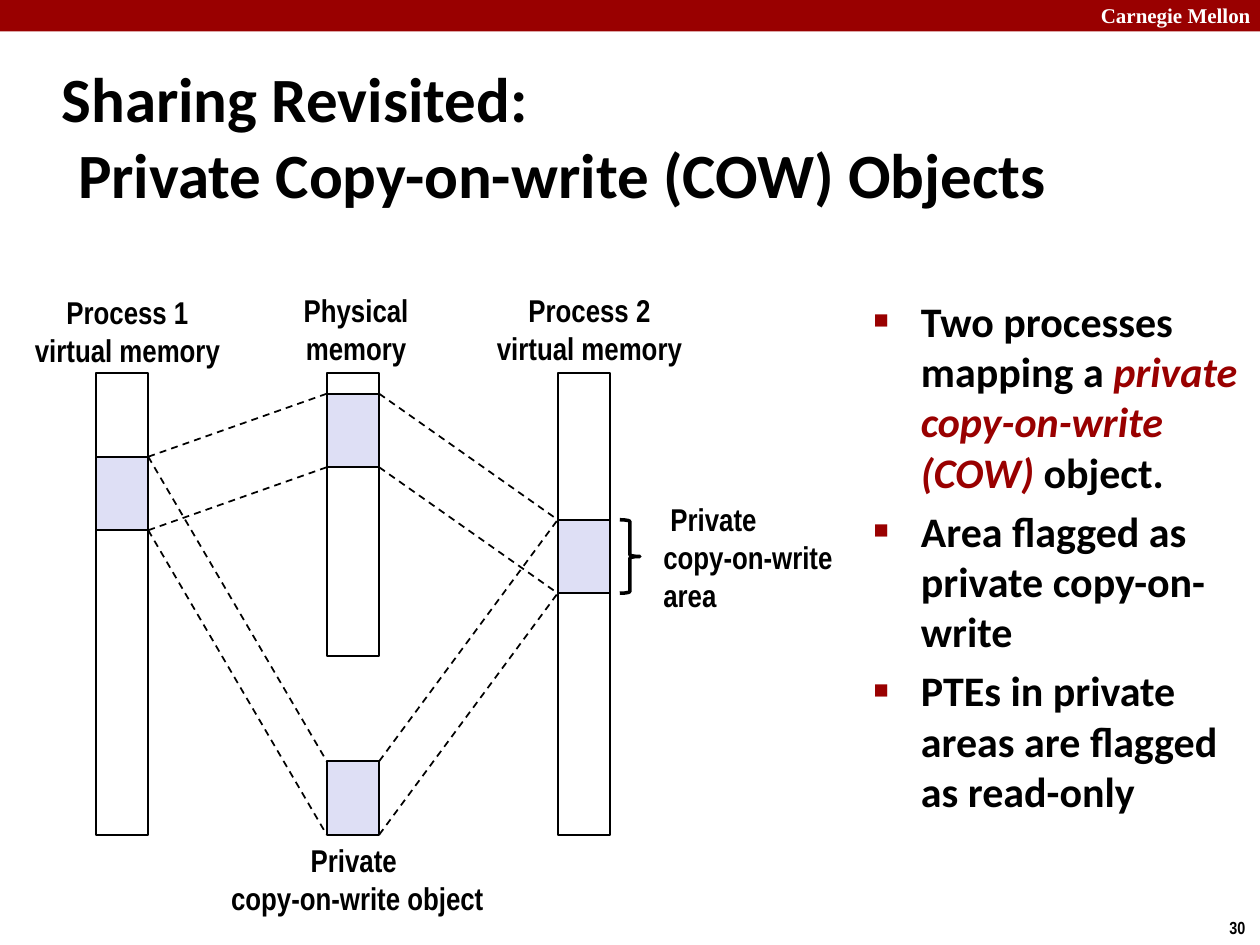
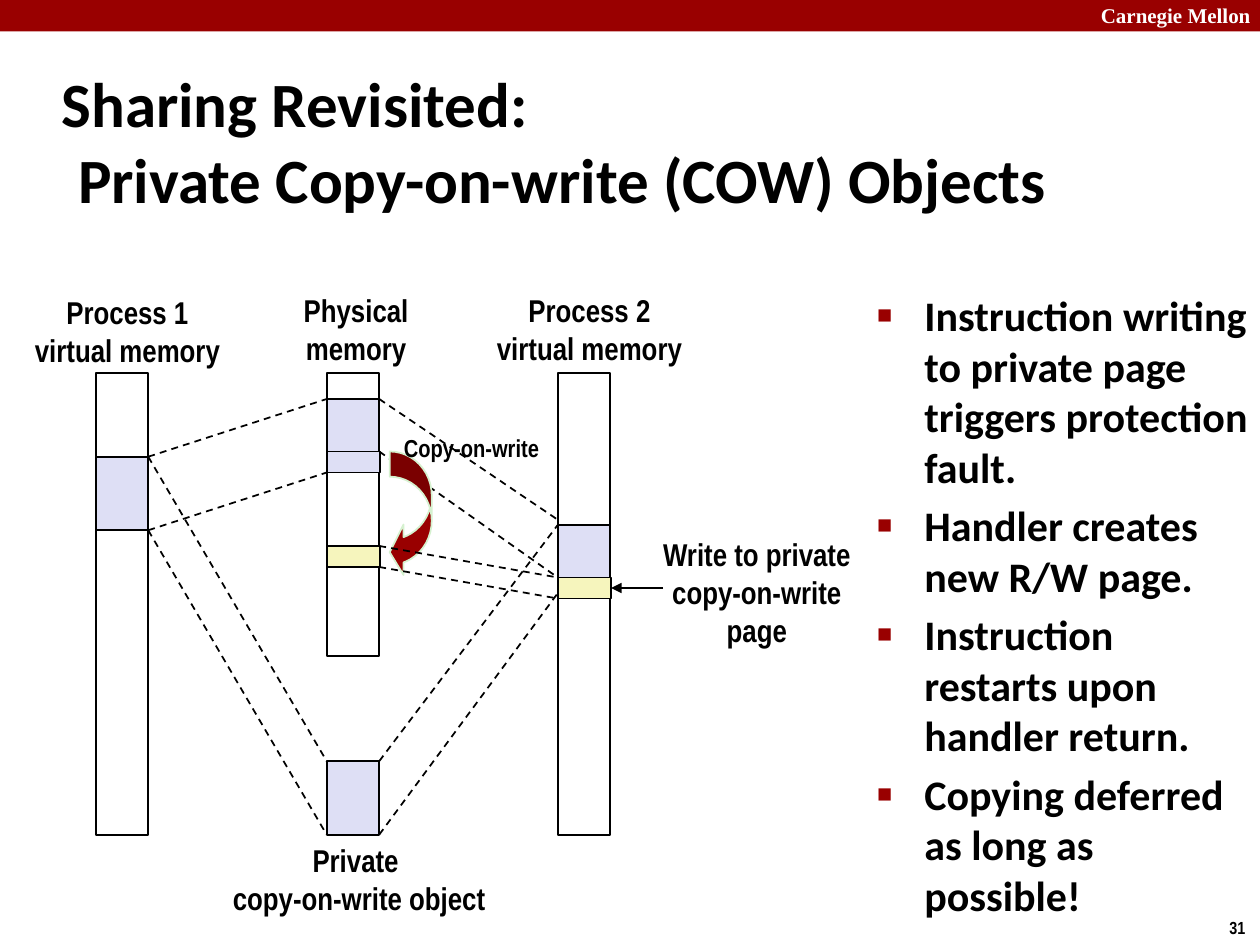
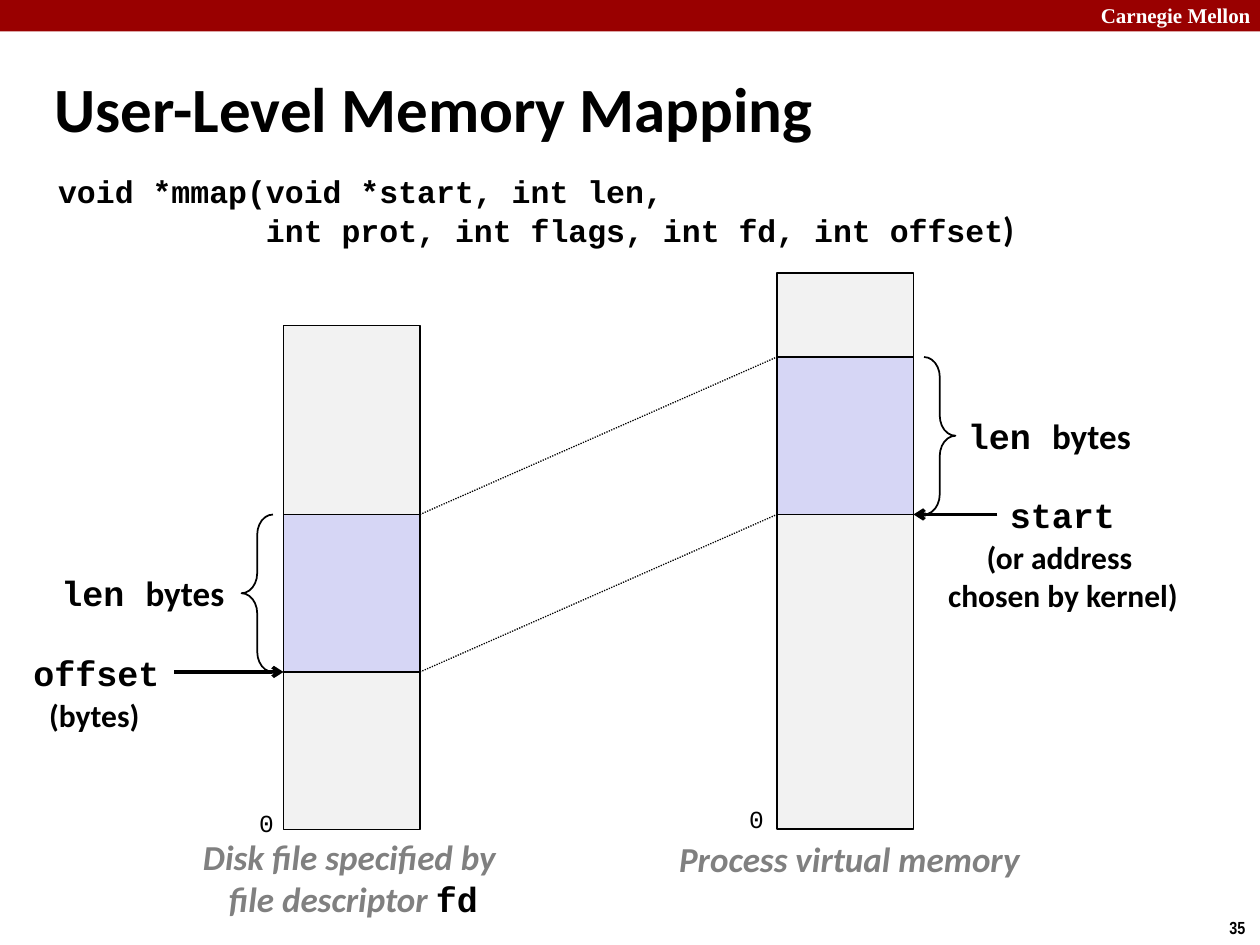
"""Build three slides on copy-on-write sharing and user-level memory mapping."""
from dataclasses import dataclass

from lxml import etree
from pptx import Presentation
from pptx.dml.color import RGBColor
from pptx.enum.dml import MSO_LINE
from pptx.enum.shapes import MSO_CONNECTOR, MSO_SHAPE
from pptx.enum.text import MSO_ANCHOR, MSO_AUTO_SIZE, PP_ALIGN
from pptx.oxml.ns import qn
from pptx.util import Pt

RECT = MSO_SHAPE.RECTANGLE
LEFT_BRACE, RIGHT_BRACE = MSO_SHAPE.LEFT_BRACE, MSO_SHAPE.RIGHT_BRACE
CURVED_ARROW = MSO_SHAPE.CURVED_LEFT_ARROW
STRAIGHT = MSO_CONNECTOR.STRAIGHT
DASH, DOT = MSO_LINE.DASH, MSO_LINE.ROUND_DOT
LEFT, CENTER = PP_ALIGN.LEFT, PP_ALIGN.CENTER
TOP, MIDDLE = MSO_ANCHOR.TOP, MSO_ANCHOR.MIDDLE


@dataclass(frozen=True)
class Theme:
    red: str = "990000"
    black: str = "000000"
    white: str = "FFFFFF"
    gray: str = "808080"
    lavender: str = "DEDFF5"
    periwinkle: str = "D6D6F5"
    yellow: str = "F6F5BD"
    memory: str = "F2F2F2"
    mint: str = "D5F1CF"
    sans: str = "Calibri"
    narrow: str = "Arial Narrow"
    mono: str = "Courier New"
    serif: str = "Times New Roman"
    title: int = 36
    body: int = 24
    term: int = 20
    label: int = 18
    small: int = 14
    header: int = 12
    number: int = 10


T = Theme()
WIDTH, HEIGHT, BAND_H = 720, 540, 18
LINE_RATIO, INSETS = 1.21, 7.2
TITLE_HANG, BODY_HANG, BULLET_GAP = 9.4, 27, 4.8


def rgb(value):
    return RGBColor.from_string(value)


def span(top, height):
    return top, top + height


def add_bullet(pPr):
    clr = etree.SubElement(pPr, qn("a:buClr"))
    etree.SubElement(clr, qn("a:srgbClr"), val=T.red)
    etree.SubElement(pPr, qn("a:buSzPct"), val="60000")
    etree.SubElement(pPr, qn("a:buFont"), typeface="Arial")
    etree.SubElement(pPr, qn("a:buChar"), char="■")


def add_run(p, text, font=T.narrow, size=T.label, color=T.black, bold=True, italic=False):
    r = p.add_run()
    r.text = text
    f = r.font
    f.name, f.size, f.bold, f.italic = font, Pt(size), bold, italic
    f.color.rgb = rgb(color)


def write(tf, paras, align=LEFT, bullet=False, hang=0, before=0, spacing=None, **fmt):
    for i, para in enumerate(paras):
        p = tf.paragraphs[0] if i == 0 else tf.add_paragraph()
        p.alignment, p.line_spacing = align, spacing
        p.space_before = Pt(before if i else 0)
        if hang:
            pPr = p._p.get_or_add_pPr()
            pPr.set("marL", str(Pt(hang)))
            pPr.set("indent", str(-Pt(hang)))
            if bullet:
                add_bullet(pPr)
            else:
                etree.SubElement(pPr, qn("a:buNone"))
        runs = [(para, {})] if isinstance(para, str) else para
        for text, changes in runs:
            for j, part in enumerate(text.split("\n")):
                if j:
                    p.add_line_break()
                add_run(p, part, **{**fmt, **changes})


class Deck:
    def __init__(self):
        self.prs = Presentation()
        self.prs.slide_width, self.prs.slide_height = Pt(WIDTH), Pt(HEIGHT)
        self.s = None

    def slide(self, number):
        self.s = self.prs.slides.add_slide(self.prs.slide_layouts[1])
        self.shape(RECT, 0, 0, WIDTH, BAND_H, fill=T.red, line=None)
        self.text(622, -2, 103, ["Carnegie Mellon"],
                  font=T.serif, size=T.header, color=T.white)
        self.text(695.5, 520.5, 24.5, [str(number)], size=T.number)

    def placeholder(self, sp, box, paras, anchor, **fmt):
        sp.left, sp.top, sp.width, sp.height = map(Pt, box)
        tf = sp.text_frame
        tf.auto_size, tf.word_wrap = MSO_AUTO_SIZE.NONE, True
        tf.vertical_anchor = anchor
        write(tf, paras, **fmt)

    def title(self, box, text):
        self.placeholder(self.s.shapes.title, box, [text], MIDDLE,
                         hang=TITLE_HANG, font=T.sans, size=T.title)

    def body(self, box, paras, **fmt):
        self.placeholder(self.s.placeholders[1], box, paras, TOP, hang=BODY_HANG, **fmt)

    def bullets(self, box, paras):
        self.body(box, paras, bullet=True, before=BULLET_GAP, font=T.sans, size=T.body)

    def code(self, box, paras):
        self.body(box, paras, spacing=0.94, font=T.mono, size=T.label)

    def text(self, x, y, w, paras, anchor=TOP, size=T.label, **fmt):
        h = len(paras) * size * LINE_RATIO + INSETS
        sp = self.s.shapes.add_textbox(Pt(x), Pt(y), Pt(w), Pt(h))
        tf = sp.text_frame
        tf.word_wrap, tf.vertical_anchor = False, anchor
        write(tf, paras, size=size, **fmt)

    def shape(self, kind, x, y, w, h, fill=None, line=T.black, width=1, adj=()):
        sp = self.s.shapes.add_shape(kind, Pt(x), Pt(y), Pt(w), Pt(h))
        sp.shadow.inherit = False
        for i, value in enumerate(adj):
            sp.adjustments[i] = value
        if fill:
            sp.fill.solid()
            sp.fill.fore_color.rgb = rgb(fill)
        else:
            sp.fill.background()
        if line:
            sp.line.color.rgb = rgb(line)
            sp.line.width = Pt(width)
        else:
            sp.line.fill.background()

    def line(self, x1, y1, x2, y2, width=1, dash=None, head=None):
        c = self.s.shapes.add_connector(STRAIGHT, Pt(x1), Pt(y1), Pt(x2), Pt(y2))
        c.line.color.rgb = rgb(T.black)
        c.line.width = Pt(width)
        if dash:
            c.line.dash_style = dash
        if head:
            etree.SubElement(c.line._get_or_add_ln(), qn("a:tailEnd"), type=head)
        etree.SubElement(c._element.spPr, qn("a:effectLst"))

    def links(self, x1, x2, ends1, ends2, width=1, dash=DASH):
        for y1, y2 in zip(ends1, ends2):
            self.line(x1, y1, x2, y2, width=width, dash=dash)


COL_W, COL_STEP = 30, 132
PROC1, PHYS, PROC2 = (54.7 + COL_STEP * i for i in range(3))
PROC1_R, PHYS_R, PROC2_R = (x + COL_W for x in (PROC1, PHYS, PROC2))
MEM_TOP, PROC_H, PHYS_H = 213, 264, 162
MEM_BOTTOM = MEM_TOP + PROC_H
AREA_H, PAGE_H = 42, 12
AREA1_TOP, AREA2_TOP = 261, 297
OBJECT_TOP = MEM_BOTTOM - AREA_H
COW_TITLE = "Sharing Revisited:\nPrivate Copy-on-write (COW) Objects"


def sharing_diagram(d, phys_top, area2_top, object_label_x):
    for x, h in ((PHYS, PHYS_H), (PROC1, PROC_H), (PROC2, PROC_H)):
        d.shape(RECT, x, MEM_TOP, COL_W, h)
    for x, top in ((PHYS, OBJECT_TOP), (PHYS, phys_top),
                   (PROC1, AREA1_TOP), (PROC2, area2_top)):
        d.shape(RECT, x, top, COL_W, AREA_H, fill=T.lavender)
    for x, y, w, paras in (
        (12, 163.5, 121.7, ["Process 1", "virtual memory"]),
        (166, 162.5, 75, ["Physical", "memory"]),
        (276, 162.5, 121.7, ["Process 2", "virtual memory"]),
        (object_label_x, MEM_BOTTOM, 160.5, ["Private ", "copy-on-write object"]),
    ):
        d.text(x, y, w, paras, anchor=MIDDLE, align=CENTER)
    for top in (OBJECT_TOP, phys_top):
        d.links(PROC1_R, PHYS, span(AREA1_TOP, AREA_H), span(top, AREA_H))
    d.links(PHYS_R, PROC2, span(OBJECT_TOP, AREA_H), (area2_top, AREA2_TOP + AREA_H))


def private_objects(d):
    phys_top = 225
    d.slide(30)
    d.title((28, 34.5, 598, 85.5), COW_TITLE)
    d.bullets((492, 165, 228, 330), [
        [("Two processes mapping a ", {}),
         ("private copy-on-write (COW) ", dict(color=T.red, italic=True)),
         ("object.", {})],
        "Area flagged as private copy-on-write",
        "PTEs in private areas are flagged as read-only",
    ])
    sharing_diagram(d, phys_top, AREA2_TOP, 124)
    d.links(PHYS_R, PROC2, span(phys_top, AREA_H), span(AREA2_TOP, AREA_H))
    d.text(372, 282, 114, [" Private", "copy-on-write", "area"], anchor=MIDDLE)
    d.shape(RIGHT_BRACE, PROC2_R + 5.5, AREA2_TOP, 11.5, AREA_H, width=2)


def write_fault(d):
    phys_top, area2_top = 228, 300
    old_page, new_page, written_page = 258, 312, 330
    d.slide(31)
    d.title((28, 34.5, 598, 91.5), COW_TITLE)
    d.bullets((494, 162, 228, 355), [
        "Instruction writing to private page triggers protection fault.",
        "Handler creates new R/W page.",
        "Instruction restarts upon handler return.",
        "Copying deferred as long as possible!",
    ])
    sharing_diagram(d, phys_top, area2_top, 125)
    d.links(PHYS_R, PROC2, (phys_top, old_page), (AREA2_TOP, written_page))
    d.shape(CURVED_ARROW, PHYS_R + 6, old_page, 24, written_page - old_page,
            fill=T.red, line=T.mint, adj=(0.6, 1.2, 0.33))
    d.text(223.5, 244, 92, ["Copy-on-write"], anchor=MIDDLE, align=CENTER, size=T.small)
    for x, top, fill in ((PHYS, old_page, T.lavender), (PROC2, written_page, T.yellow),
                         (PHYS, new_page, T.yellow)):
        d.shape(RECT, x + 0.5, top, COL_W, PAGE_H, fill=fill)
    d.links(PHYS_R, PROC2, span(new_page, PAGE_H), span(written_page, PAGE_H))
    d.text(371, 302, 123, ["Write to private", "copy-on-write", "page"],
           anchor=MIDDLE, align=CENTER)
    arrow_y = written_page + PAGE_H / 2
    d.line(379, arrow_y, PROC2_R + 0.5, arrow_y, head="triangle")


def memory_mapping(d):
    disk, proc, col_w, bottom = 162, 444, 78, 474
    disk_top, proc_top = 186, 156
    disk_map, proc_map, map_h = 294, 204, 90
    disk_end, proc_end = disk_map + map_h, proc_map + map_h
    brace_w, brace_gap = 18, 6
    term = dict(font=T.mono, size=T.term)
    note = dict(font=T.sans, size=T.label)
    caption = dict(font=T.sans, size=T.term, color=T.gray, italic=True)

    d.slide(35)
    d.title((24, 39, 572, 45), "User-Level Memory Mapping")
    d.code((26, 96.5, 654, 65.5), [
        "void *mmap(void *start, int len,",
        [("           int prot, int flags, int fd, int offset", {}),
         (")", dict(font=T.sans, size=T.term))],
    ])

    for x, top, map_top in ((disk, disk_top, disk_map), (proc, proc_top, proc_map)):
        d.shape(RECT, x, top, col_w, bottom - top, fill=T.memory)
        d.shape(RECT, x, map_top, col_w, map_h, fill=T.periwinkle)
    d.links(disk + col_w, proc, span(disk_map, map_h), span(proc_map, map_h),
            width=0.75, dash=DOT)

    for kind, brace_x, map_top, label_x in (
        (RIGHT_BRACE, proc + col_w + brace_gap, proc_map, 546),
        (LEFT_BRACE, disk - brace_gap - brace_w, disk_map, 28),
    ):
        d.shape(kind, brace_x, map_top, brace_w, map_h, adj=(0.64, 0.5))
        d.text(label_x, map_top + 29.3, 108.5,
               [[("len ", {}), ("bytes", dict(font=T.sans))]], **term)
    for tail_x, head_x, y in ((570, proc + col_w, proc_end), (99.5, disk, disk_end)):
        d.line(tail_x, y, head_x, y, width=2, head="arrow")
    for x, y, w, name in ((570, proc_end, 75, "start"), (12, disk_end, 87, "offset")):
        d.text(x, y - 15.5, w, [name], **term)

    d.text(534, proc_end + 10, 147, ["(or address ", "chosen by kernel)"],
           align=CENTER, **note)
    d.text(21, disk_end + 10, 66, ["(bytes)"], **note)
    d.text(381, bottom + 1, 210, ["Process virtual memory"], **caption)
    d.text(108, bottom, 188, [
        "Disk file specified by ",
        [("file descriptor ", {}), ("fd", dict(font=T.mono, color=T.black, italic=False))],
    ], align=CENTER, **caption)
    for x, y in ((disk - 21, bottom - 16), (proc - 23, bottom - 18)):
        d.text(x, y, 23, ["0"], font=T.mono, size=T.small, bold=False)


def main():
    d = Deck()
    for build in (private_objects, write_fault, memory_mapping):
        build(d)
    d.prs.save("out.pptx")


if __name__ == "__main__":
    main()
